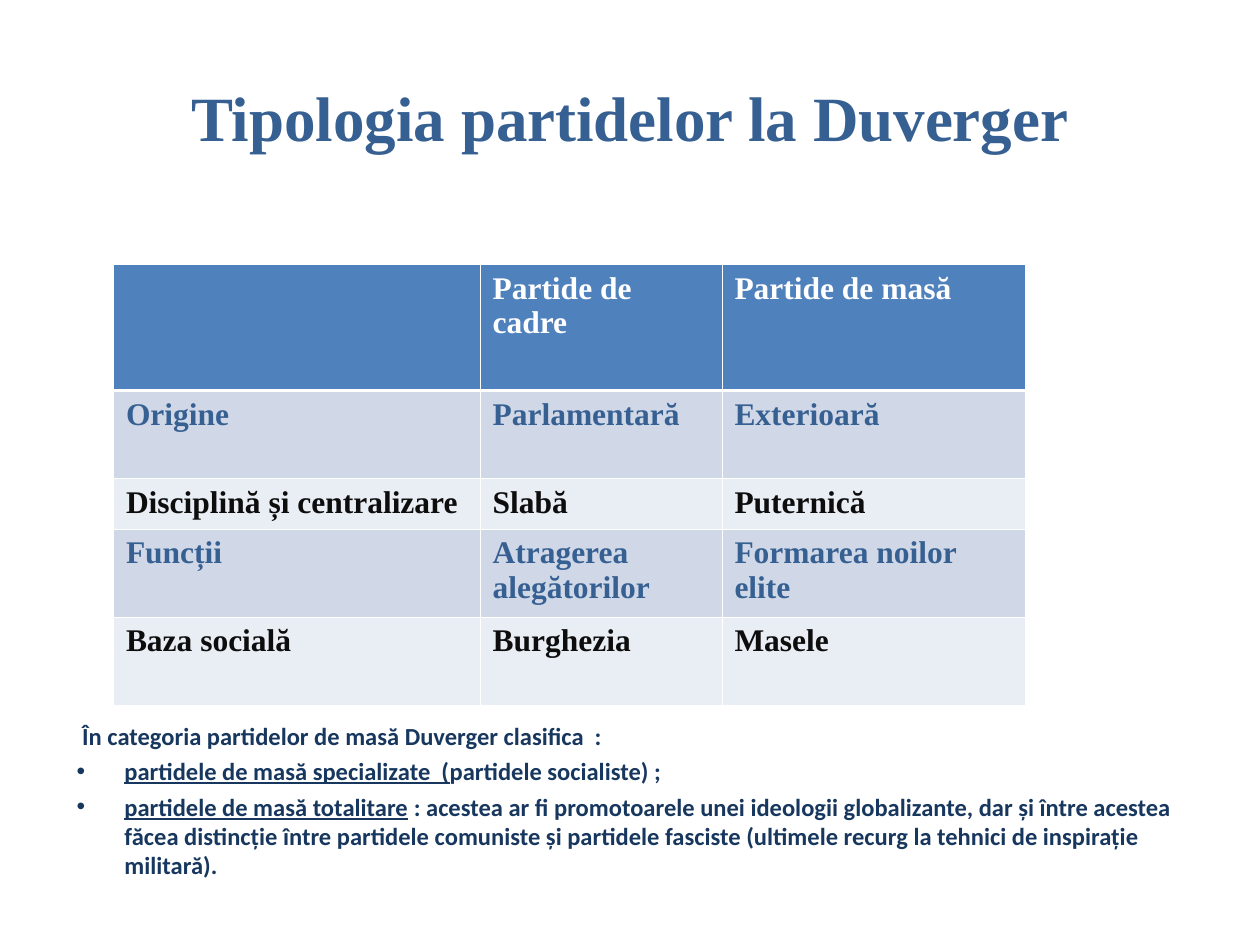
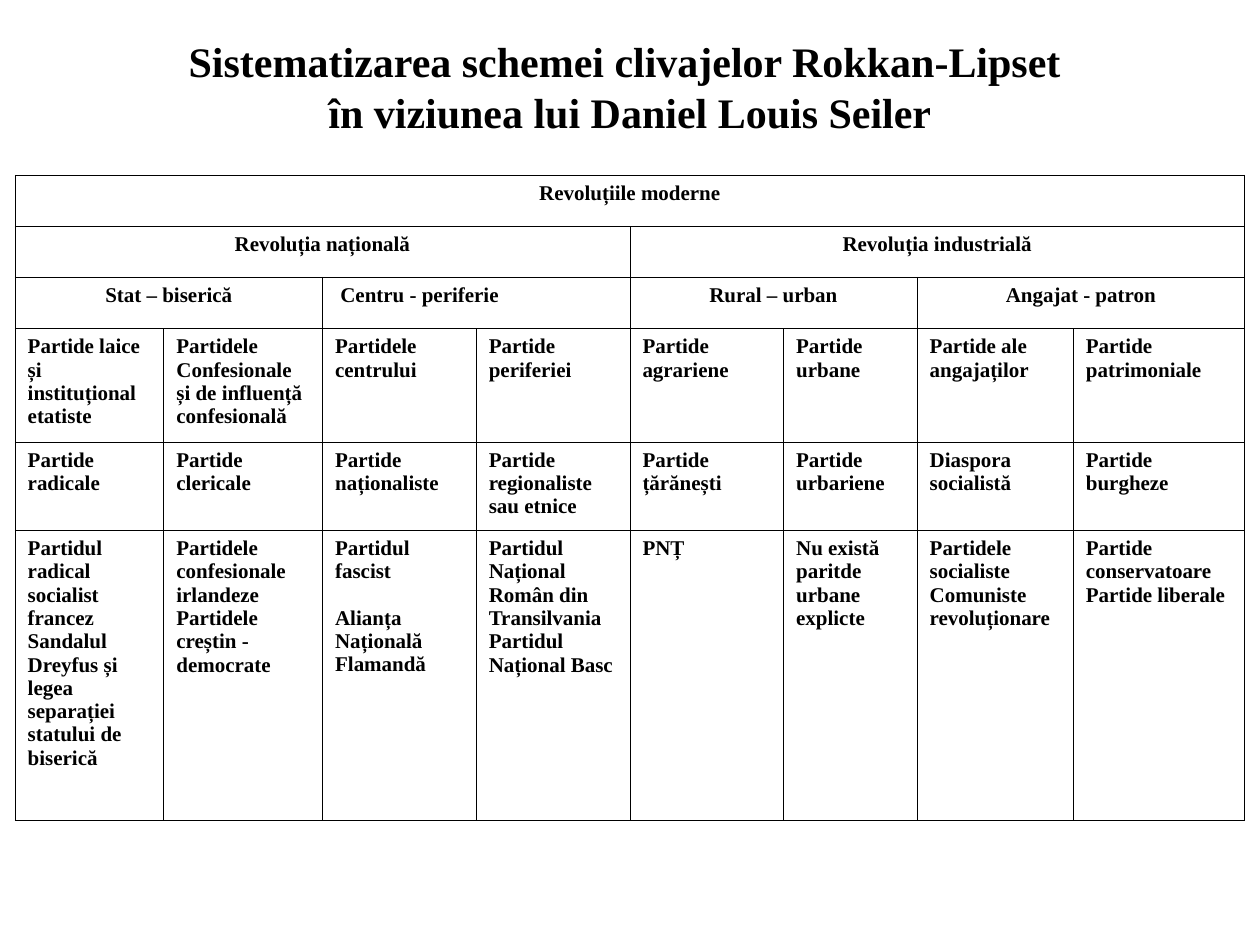
"""Build two slides on party typologies: Duverger's table and Seiler's cleavage scheme."""
from dataclasses import dataclass

from lxml import etree
from pptx import Presentation
from pptx import util as u
from pptx.dml.color import RGBColor
from pptx.enum import text as t
from pptx.oxml.ns import qn

BLUE = RGBColor(0x37, 0x60, 0x92)
NAVY = RGBColor(0x17, 0x37, 0x5E)
HEAD = RGBColor(0x4F, 0x81, 0xBD)
DARK = RGBColor(0xD0, 0xD8, 0xE8)
PALE = RGBColor(0xE9, 0xED, 0xF4)
INK = RGBColor(0x0D, 0x0D, 0x0D)
BLACK = RGBColor(0, 0, 0)
WHITE = RGBColor(255, 255, 255)
SERIF, SANS = "Times New Roman", "Calibri"
THIN, THICK = 0.45, 1.47


@dataclass
class Title:
    """Text and look of a slide title."""
    words: str
    high: float
    size: int
    tint: RGBColor


@dataclass
class Look:
    """Fill and text colour of a table row."""
    fill: RGBColor
    ink: RGBColor


@dataclass
class Grid:
    """Place, content and look of a table."""
    left: float
    top: float
    cols: list[float]
    highs: list[float]
    rows: list[tuple[str, ...]]
    looks: list[Look]
    size: int
    line: RGBColor
    rule: float


@dataclass
class Note:
    """One line of notes: underlined start, plain rest."""
    key: str
    rest: str


PARTY = Grid(
    0.9, 2.1, [2.91, 1.92, 2.41], [1, 0.7, 0.4, 0.7, 0.7],
    [("", "Partide de cadre", "Partide de masă"),
     ("Origine", "Parlamentară", "Exterioară"),
     ("Disciplină și centralizare", "Slabă", "Puternică"),
     ("Funcții", "Atragerea alegătorilor", "Formarea noilor elite"),
     ("Baza socială", "Burghezia", "Masele")],
    [Look(HEAD, WHITE)] + [Look(DARK, BLUE), Look(PALE, INK)] * 2,
    18, WHITE, THICK)

SCHEME = Grid(
    0.12, 1.39, [1.18, 1.26, 1.22, 1.22, 1.22, 1.06, 1.24, 1.36],
    [0.41, 0.4, 0.41, 0.9, 0.7, 2.3],
    [("Revoluțiile moderne",),
     ("Revoluția națională", "Revoluția industrială"),
     ("Stat – biserică", " Centru - periferie", "Rural – urban", "Angajat - patron"),
     ("Partide laice și instituțional etatiste",
      "Partidele\nConfesionale și de influență confesională",
      "Partidele\ncentrului", "Partide periferiei", "Partide agrariene",
      "Partide urbane", "Partide ale angajaților", "Partide patrimoniale"),
     ("Partide radicale", "Partide clericale", "Partide\nnaționaliste",
      "Partide regionaliste sau etnice", "Partide țărănești",
      "Partide\nurbariene", "Diaspora socialistă", "Partide burgheze"),
     ("Partidul radical socialist francez\n"
      "Sandalul Dreyfus și legea separației statului de biserică",
      "Partidele\nconfesionale irlandeze\nPartidele creștin -\ndemocrate",
      "Partidul fascist\nAlianța\nNațională Flamandă",
      "Partidul Național Român din Transilvania\nPartidul Național Basc",
      "PNȚ", "Nu există paritde urbane explicte",
      "Partidele socialiste\nComuniste revoluționare",
      "Partide conservatoare\nPartide liberale")],
    [Look(WHITE, BLACK)] * 6, 12, BLACK, THIN)

NOTES = [
    Note("", " În categoria partidelor de masă Duverger clasifica  :"),
    Note("partidele de masă specializate  (", "partidele socialiste) ;"),
    Note("partidele de masă totalitare",
         " : acestea ar fi promotoarele unei ideologii globalizante, dar și între "
         "acestea făcea distincție între partidele comuniste și partidele fasciste "
         "(ultimele recurg la tehnici de inspirație militară)."),
]


def style(font, face: str, size: int, tint: RGBColor) -> None:
    """Give a font its bold face, size and colour."""
    font.name, font.size, font.bold = face, u.Pt(size), True
    font.color.rgb = tint


def add_slide(deck, title: Title):
    """Add a title-only slide with its title set."""
    slide = deck.slides.add_slide(deck.slide_layouts[5])
    head = slide.shapes.title
    head.left, head.top = u.Inches(0.5), u.Inches(0.3)
    head.width, head.height = u.Inches(9), u.Inches(title.high)
    frame = head.text_frame
    frame.text = title.words
    frame.auto_size = t.MSO_AUTO_SIZE.NONE
    frame.vertical_anchor = t.MSO_ANCHOR.MIDDLE
    para = frame.paragraphs[0]
    para.alignment = t.PP_ALIGN.CENTER
    for run in para.runs:
        style(run.font, SERIF, title.size, title.tint)
    for gap in para._p.findall(qn("a:br")):
        etree.SubElement(gap, qn("a:rPr"), sz=str(title.size * 100))
    return slide


def edge(cell, tint: RGBColor, above: float, below: float) -> None:
    """Draw the four borders of a cell."""
    props = cell._tc.get_or_add_tcPr()
    for side, width in zip("LRTB", (THIN, THIN, above, below)):
        line = etree.SubElement(props, qn(f"a:ln{side}"), w=str(u.Pt(width)))
        fill = etree.SubElement(line, qn("a:solidFill"))
        etree.SubElement(fill, qn("a:srgbClr"), val=str(tint))


def add_grid(slide, grid: Grid):
    """Draw a table; a row with fewer entries spans its columns evenly."""
    count = len(grid.cols)
    table = slide.shapes.add_table(
        len(grid.rows), count, u.Inches(grid.left), u.Inches(grid.top),
        u.Inches(sum(grid.cols)), u.Inches(sum(grid.highs))).table
    table.first_row = table.horz_banding = False
    for col, width in zip(table.columns, grid.cols):
        col.width = u.Inches(width)
    for y, (entry, look) in enumerate(zip(grid.rows, grid.looks)):
        table.rows[y].height = u.Inches(grid.highs[y])
        above = grid.rule if y == 1 else THIN
        below = grid.rule if y == 0 else THIN
        for x in range(count):
            edge(table.cell(y, x), grid.line, above, below)
            table.cell(y, x).fill.solid()
            table.cell(y, x).fill.fore_color.rgb = look.fill
        span = count // len(entry)
        for i, words in enumerate(entry):
            cell = table.cell(y, i * span)
            if span > 1:
                cell.merge(table.cell(y, (i + 1) * span - 1))
            cell.text_frame.text = words
            for para in cell.text_frame.paragraphs:
                if span > 1 and not words.startswith(" "):
                    para.alignment = t.PP_ALIGN.CENTER
                for run in para.runs:
                    style(run.font, SERIF, grid.size, look.ink)
    return table


def add_notes(slide, notes: list[Note]) -> None:
    """Write the notes below the table, with bullets where a key term leads."""
    frame = slide.shapes.add_textbox(
        u.Inches(0.51), u.Inches(5.67), u.Inches(9), u.Inches(1.54)).text_frame
    frame.word_wrap = True
    for i, note in enumerate(notes):
        para = frame.add_paragraph() if i else frame.paragraphs[0]
        para.space_before = u.Pt(3.5 if i else 0)
        props = para._p.get_or_add_pPr()
        props.set("marL", str(u.Inches(0.38)))
        props.set("indent", str(-u.Inches(0.38)))
        if note.key:
            tint = etree.SubElement(props, qn("a:buClr"))
            etree.SubElement(tint, qn("a:srgbClr"), val=str(NAVY))
            etree.SubElement(props, qn("a:buFont"), typeface="Arial")
            etree.SubElement(props, qn("a:buChar"), char="•")
        for words in filter(None, (note.key, note.rest)):
            run = para.add_run()
            run.text = words
            style(run.font, SANS, 14, NAVY)
            run.font.underline = words == note.key


def main() -> None:
    """Build and save the deck."""
    deck = Presentation()
    deck.slide_width, deck.slide_height = u.Inches(10), u.Inches(7.5)
    first = add_slide(deck, Title("Tipologia partidelor la Duverger", 1.25, 36, BLUE))
    add_notes(first, NOTES)
    add_grid(first, PARTY)
    second = add_slide(deck, Title(
        "Sistematizarea schemei clivajelor Rokkan-Lipset \v"
        "în viziunea lui Daniel Louis Seiler", 0.77, 24, BLACK))
    table = add_grid(second, SCHEME)
    table.cell(5, 2).text_frame.paragraphs[1].space_before = u.Pt(13.3)
    deck.save("out.pptx")


if __name__ == "__main__":
    main()
